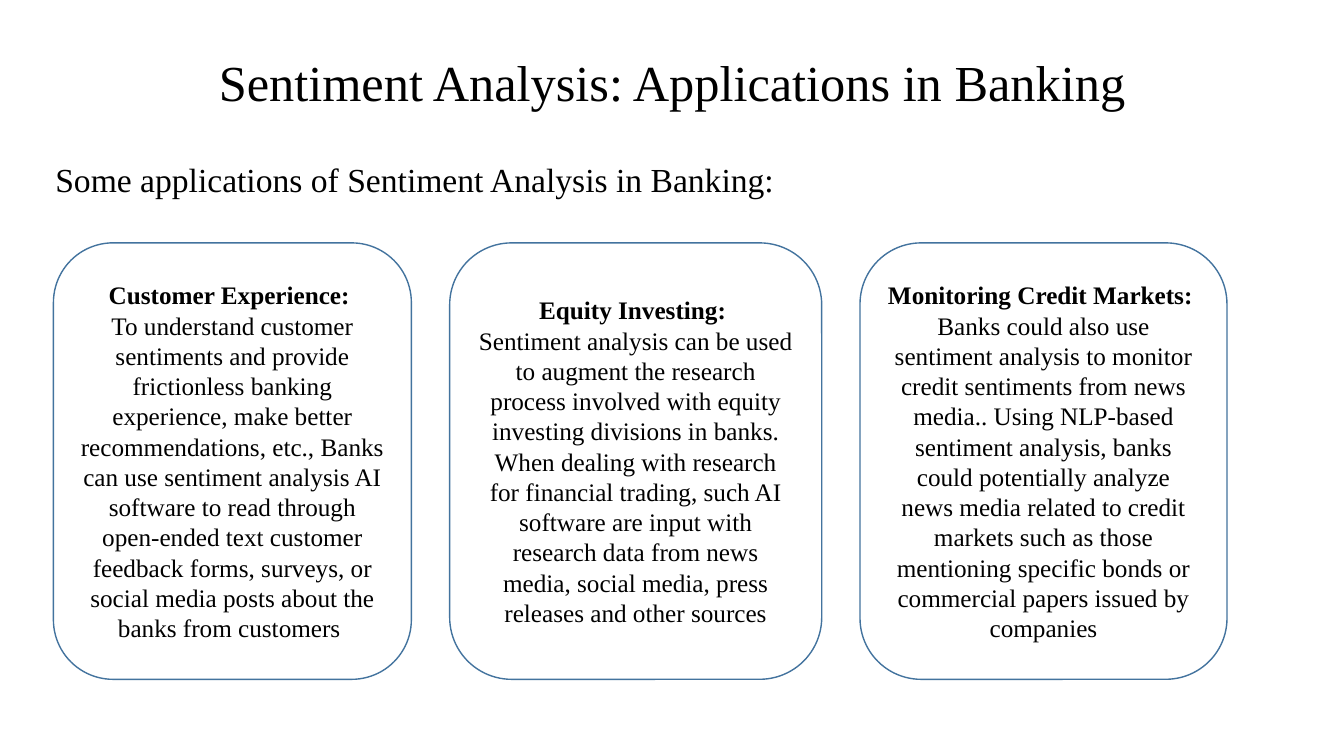
import pptx
import pptx.dml.color
import pptx.enum.shapes
import pptx.enum.text
import pptx.util

Inches = pptx.util.Inches
Align = pptx.enum.text.PP_ALIGN
Anchor = pptx.enum.text.MSO_ANCHOR

CARD_LEFT, CARD_TOP, CARD_HEIGHT, CARD_GAP = 0.53, 2.41, 4.33, 0.38
CARDS = [
    (3.55, "Customer Experience: ",
     "To understand customer sentiments and provide frictionless banking experience, "
     "make better recommendations, etc., Banks can use sentiment analysis AI software "
     "to read through open-ended text customer feedback forms, surveys, or social media "
     "posts about the banks from customers "),
    (3.69, "Equity Investing: ",
     "Sentiment analysis can be used to augment the research process involved with "
     "equity investing divisions in banks. When dealing with research for financial "
     "trading, such AI software are input with research data from news media, social "
     "media, press releases and other sources"),
    (3.64, "Monitoring Credit Markets: ",
     "Banks could also use sentiment analysis to monitor credit sentiments from news "
     "media.. Using NLP-based sentiment analysis, banks could potentially analyze news "
     "media related to credit markets such as those mentioning specific bonds or "
     "commercial papers issued by companies"),
]


def color(code):
    return pptx.dml.color.RGBColor.from_string(code)


def set_formats(target, formats):
    """Set each named attribute of the target."""
    for name, value in formats.items():
        setattr(target, name, value)


class SlideBuilder:
    font = "Times New Roman"
    ink = "000000"
    outline = "43739E"

    def __init__(self, page):
        self.page = page

    def fill_para(self, para, text, size, bold=False, **formats):
        """Fill a paragraph with one styled span."""
        set_formats(para, formats)
        span = para.add_run()
        span.text = text
        set_formats(span.font, {"name": self.font, "size": pptx.util.Pt(size), "bold": bold})
        span.font.color.rgb = color(self.ink)

    def text_box(self, area, text, size, anchor=Anchor.TOP, **formats):
        box = self.page.shapes.add_textbox(*map(Inches, area))
        set_formats(box.text_frame, {"word_wrap": True, "vertical_anchor": anchor})
        self.fill_para(box.text_frame.paragraphs[0], text, size, **formats)

    def card(self, area, heading, body):
        box = self.page.shapes.add_shape(
            pptx.enum.shapes.MSO_SHAPE.ROUNDED_RECTANGLE, *map(Inches, area))
        box.shadow.inherit = False
        box.fill.background()
        box.line.color.rgb = color(self.outline)
        box.line.width = pptx.util.Pt(1)
        frame = box.text_frame
        set_formats(frame, {"word_wrap": True, "vertical_anchor": Anchor.MIDDLE})
        self.fill_para(frame.paragraphs[0], heading, 18, bold=True, alignment=Align.CENTER)
        self.fill_para(frame.add_paragraph(), body, 18, alignment=Align.CENTER)


def main():
    deck = pptx.Presentation()
    set_formats(deck, {"slide_width": Inches(13.33), "slide_height": Inches(7.5)})
    builder = SlideBuilder(deck.slides.add_slide(deck.slide_layouts[6]))

    builder.text_box((0.92, 0.4, 11.5, 0.89), "Sentiment Analysis: Applications in Banking",
                     36, anchor=Anchor.MIDDLE, alignment=Align.CENTER, line_spacing=0.9)
    builder.text_box((0.45, 1.45, 11.72, 0.7),
                     "Some applications of Sentiment Analysis in Banking:",
                     24, line_spacing=1.2, space_before=pptx.util.Pt(10))

    left = CARD_LEFT
    for width, heading, body in CARDS:
        builder.card((left, CARD_TOP, width, CARD_HEIGHT), heading, body)
        left += width + CARD_GAP

    deck.save("out.pptx")


if __name__ == "__main__":
    main()
